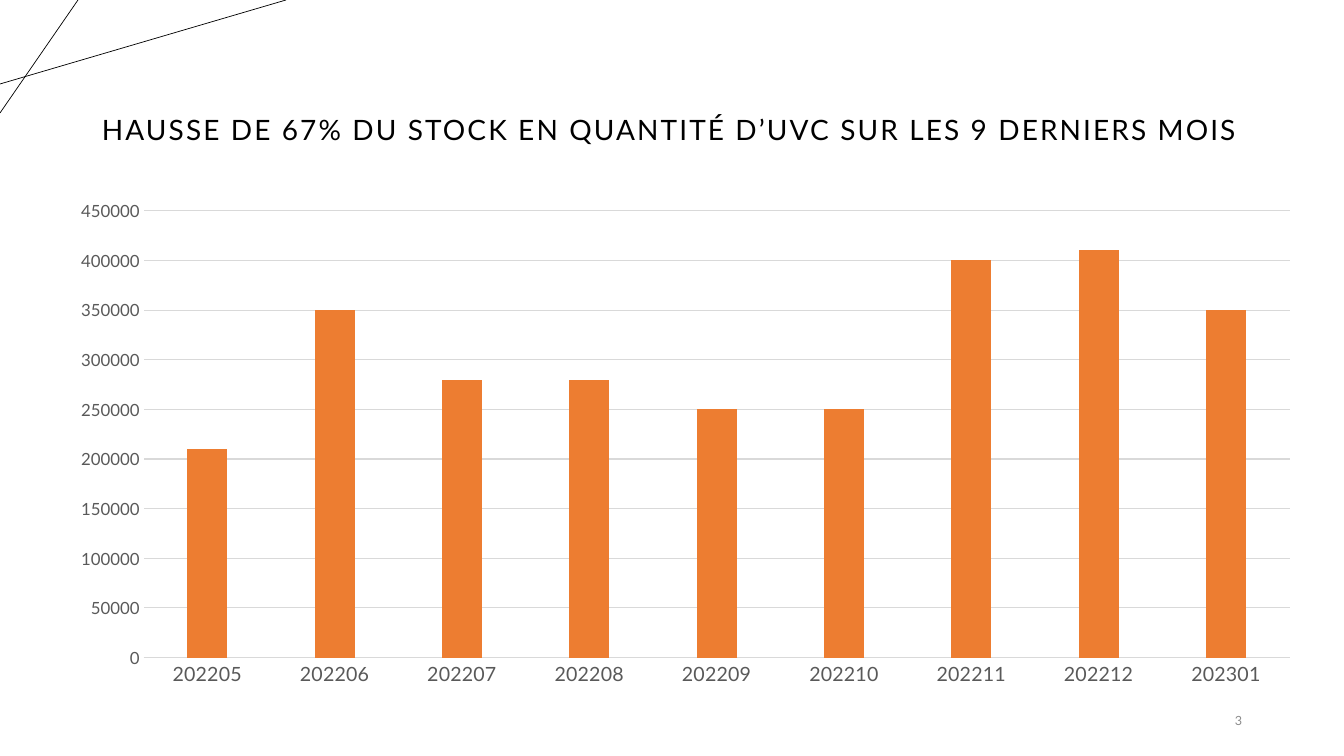
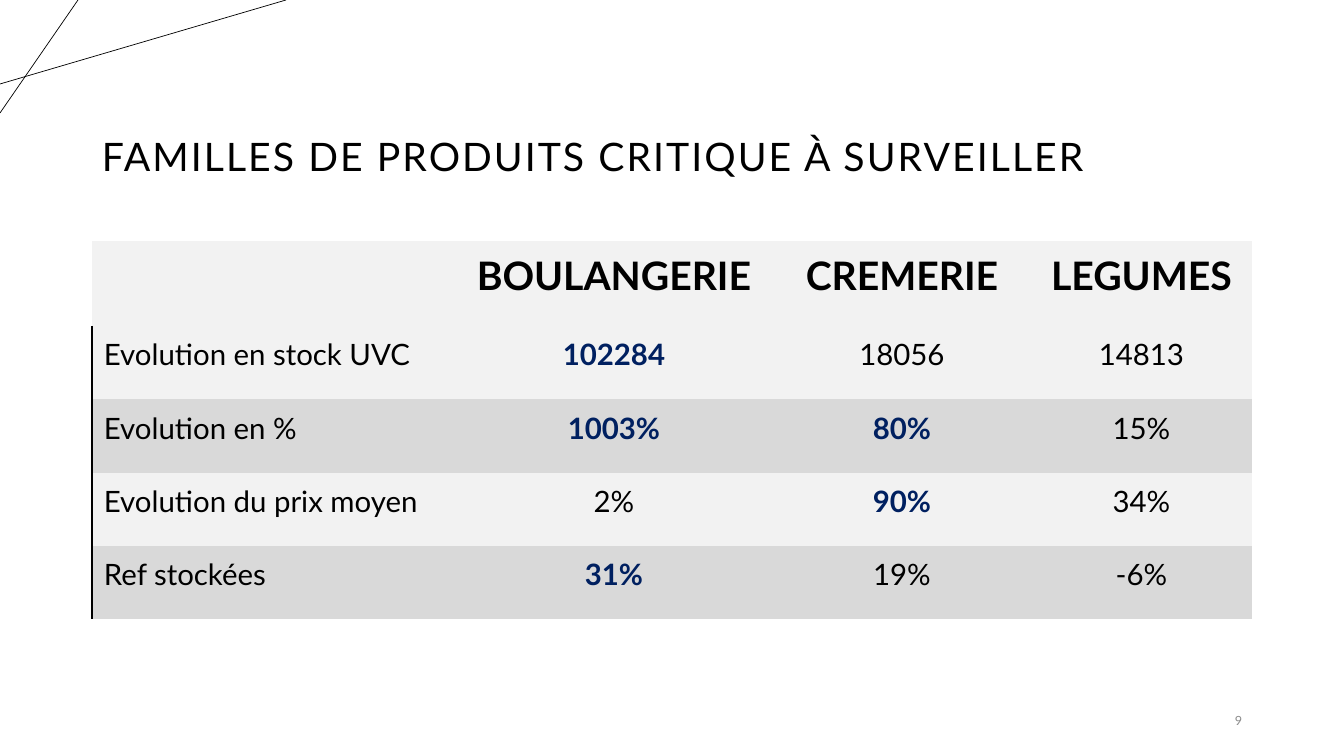
from dataclasses import dataclass

from lxml import etree
from pptx import Presentation
from pptx import util as u
from pptx.chart.data import CategoryChartData
from pptx.dml.color import RGBColor
from pptx.enum import chart as ch, shapes, text
from pptx.oxml import parse_xml
from pptx.oxml.ns import nsdecls, qn

SCALE = 12192000 / 1344
LEFT, WIDTH = 92, 1160
PLAIN = "{2D5ABB26-0587-4C30-8999-92F81FD0307C}"

MONTHS = ["202205", "202206", "202207", "202208", "202209", "202210",
          "202211", "202212", "202301"]
STOCK = [210000, 350000, 280000, 280000, 250000, 250000,
         400000, 410000, 350000]

ROWS = [
    ["", "BOULANGERIE", "CREMERIE", "LEGUMES"],
    ["Evolution en stock UVC", "102284", "18056", "14813"],
    ["Evolution en %", "1003%", "80%", "15%"],
    ["Evolution du prix moyen", "2%", "90%", "34%"],
    ["Ref stockées", "31%", "19%", "-6%"],
]
ALERTS = {"102284", "1003%", "80%", "90%", "31%"}


@dataclass(frozen=True)
class Theme:
    """Colours, font and type sizes of the deck."""
    font: str = "Lato"
    ink: str = "000000"
    alert: str = "002060"
    muted: str = "8C8C8C"
    label: str = "595959"
    grid: str = "D9D9D9"
    light: str = "F2F2F2"
    dark: str = "D9D9D9"
    bar: str = "ED7D31"
    head: int = 28
    title: int = 20
    body: int = 21
    chart: int = 10
    cats: int = 14
    vals: int = 12
    foot: int = 9


T = Theme()


def px(n):
    """Turn px into EMU."""
    return u.Emu(round(n * SCALE))


def rgb(hue):
    """Turn a hex string into a colour."""
    return RGBColor.from_string(hue)


def style(font, size, hue, bold=False):
    """Set the face, size, colour and weight of a font."""
    font.name, font.size, font.bold = T.font, u.Pt(size), bold
    font.color.rgb = rgb(hue)


def add_text(slide, box, words, size, hue, anchor):
    """Add a wrapped text box and return its paragraph."""
    frame = slide.shapes.add_textbox(*map(px, box)).text_frame
    frame.word_wrap = True
    frame.vertical_anchor = anchor
    para = frame.paragraphs[0]
    para.text = words
    style(para.font, size, hue)
    return para


def add_line(slide, start, end):
    """Add a thin black line."""
    line = slide.shapes.add_connector(
        shapes.MSO_CONNECTOR.STRAIGHT, *map(px, start + end))
    line.line.color.rgb = rgb(T.ink)
    line.line.width = u.Pt(0.5)
    etree.SubElement(line.element.spPr, qn("a:effectLst"))


def add_slide(deck, title, size, top, height, number):
    """Add a slide with corner lines, spaced title and page number."""
    slide = deck.slides.add_slide(deck.slide_layouts[6])
    add_line(slide, (0, 84), (286, 0))
    add_line(slide, (78, 0), (0, 113))
    para = add_text(slide, (LEFT, top, WIDTH, height), title, size, T.ink,
                    text.MSO_ANCHOR.BOTTOM)
    para.line_spacing = 0.9
    para._p.pPr.find(qn("a:defRPr")).set("spc", "150")
    foot = add_text(slide, (1143, 701, 109, 40), str(number), T.foot, T.muted,
                    text.MSO_ANCHOR.MIDDLE)
    foot.alignment = text.PP_ALIGN.RIGHT
    return slide


def set_plot(chart, x, y, w, h):
    """Fix the inner plot area as fractions of the chart."""
    plot = chart.element.find(".//" + qn("c:plotArea"))
    for old in plot.findall(qn("c:layout")):
        plot.remove(old)
    marks = "".join(
        f'<c:{tag} val="{val}"/>' for tag, val in
        [("layoutTarget", "inner"), ("xMode", "edge"), ("yMode", "edge"),
         ("x", x), ("y", y), ("w", w), ("h", h)])
    plot.insert(0, parse_xml(
        f'<c:layout {nsdecls("c")}><c:manualLayout>{marks}'
        '</c:manualLayout></c:layout>'))


def add_bars(slide, box, cats, vals):
    """Add the column chart of stock by month."""
    data = CategoryChartData()
    data.categories = cats
    data.add_series("Series 1", vals)
    chart = slide.shapes.add_chart(
        ch.XL_CHART_TYPE.COLUMN_CLUSTERED, *map(px, box), data).chart
    chart.has_legend = chart.has_title = False
    style(chart.font, T.chart, T.ink)
    plot = chart.plots[0]
    plot.gap_width, plot.overlap, plot.vary_by_categories = 219, -27, False
    fill = plot.series[0].format.fill
    fill.solid()
    fill.fore_color.rgb = rgb(T.bar)
    low, side = chart.category_axis, chart.value_axis
    for axis, size in ((low, T.cats), (side, T.vals)):
        style(axis.tick_labels.font, size, T.label)
        axis.major_tick_mark = axis.minor_tick_mark = ch.XL_TICK_MARK.NONE
    side.minimum_scale, side.maximum_scale, side.major_unit = 0, 450000, 50000
    side.has_major_gridlines = True
    side.format.line.fill.background()
    for line in (low.format.line, side.major_gridlines.format.line):
        line.color.rgb = rgb(T.grid)
        line.width = u.Pt(0.75)
    set_plot(chart, 0.074, 0.039, 0.925, 0.878)


def add_edge(cell):
    """Draw a black line on the left side of a cell."""
    cell._tc.get_or_add_tcPr().insert(0, parse_xml(
        f'<a:lnL {nsdecls("a")} w="12700"><a:solidFill>'
        f'<a:srgbClr val="{T.ink}"/></a:solidFill></a:lnL>'))


def fill_cell(cell, words, row, col):
    """Write and style one table cell."""
    cell.fill.solid()
    cell.fill.fore_color.rgb = rgb(T.dark if row and row % 2 == 0 else T.light)
    cell.vertical_anchor = text.MSO_ANCHOR.BOTTOM
    cell.margin_left, cell.margin_top = px(12), px(4)
    cell.margin_right, cell.margin_bottom = 0, px(27)
    if row and col == 0:
        add_edge(cell)
    para = cell.text_frame.paragraphs[0]
    para.text = words
    alert = words in ALERTS
    style(para.font, T.body if row else T.head,
          T.alert if alert else T.ink, alert or row == 0)
    if col:
        para.alignment = text.PP_ALIGN.CENTER


def add_grid(slide, left, top, wides, highs, rows):
    """Add the banded table of product families."""
    frame = slide.shapes.add_table(
        len(highs), len(wides),
        *map(px, (left, top, sum(wides), sum(highs))))
    frame.element.find(".//" + qn("a:tableStyleId")).text = PLAIN
    table = frame.table
    table.horz_banding = False
    for col, wide in zip(table.columns, wides):
        col.width = px(wide)
    for row, high in zip(table.rows, highs):
        row.height = px(high)
    for r, row in enumerate(rows):
        for c, words in enumerate(row):
            fill_cell(table.cell(r, c), words, r, c)


def main():
    """Build and save the deck."""
    deck = Presentation()
    deck.slide_width, deck.slide_height = px(1344), px(756)
    slide = add_slide(
        deck, "HAUSSE DE 67% DU STOCK EN QUANTITÉ D’UVC SUR LES 9 DERNIERS MOIS",
        T.title, 72, 79, 3)
    add_bars(slide, (52, 191, 1239, 509), MONTHS, STOCK)
    slide = add_slide(deck, "FAMILLES DE PRODUITS CRITIQUE À SURVEILLER",
                      T.head, 39, 146, 9)
    add_grid(slide, LEFT, 241, (351, 330, 246, 233), (85, 73, 74, 73, 73), ROWS)
    deck.save("out.pptx")


if __name__ == "__main__":
    main()
